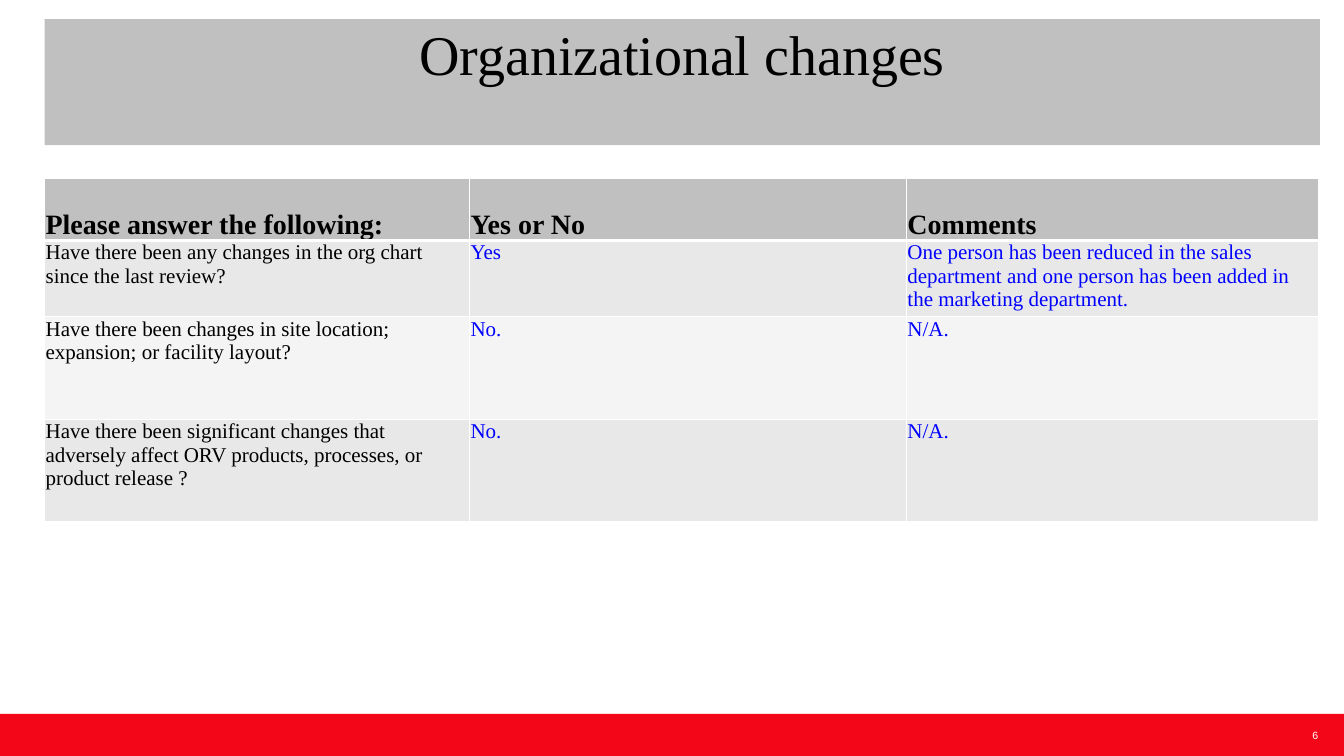
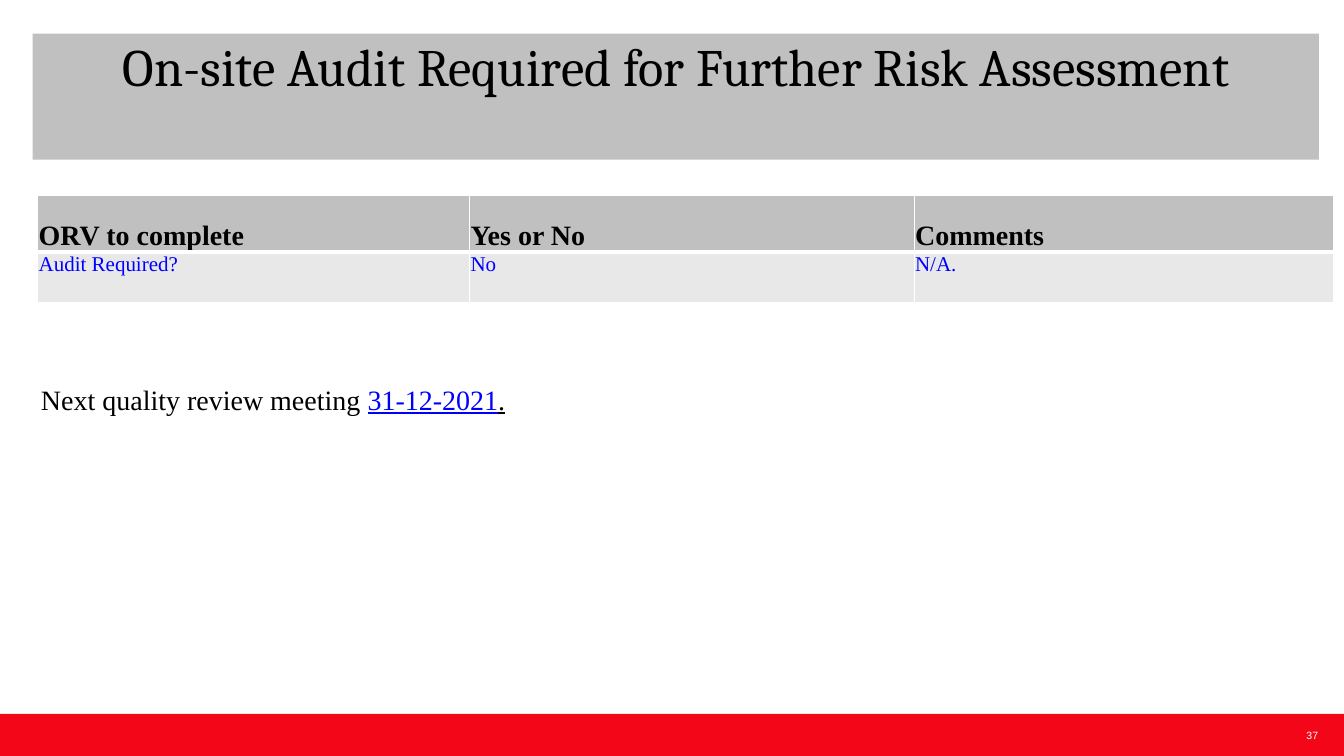
import pptx
import pptx.util
import pptx.dml.color
import pptx.enum.shapes
import pptx.enum.text
import pptx.oxml.ns
import lxml.etree

Cm, Pt = pptx.util.Cm, pptx.util.Pt
RGBColor = pptx.dml.color.RGBColor
Anchor = pptx.enum.text.MSO_ANCHOR
Align = pptx.enum.text.PP_ALIGN

RED = RGBColor(0xF3, 0x06, 0x17)
GREY = RGBColor(0xC0, 0xC0, 0xC0)
BAND_DARK = RGBColor(0xE8, 0xE8, 0xE8)
BAND_LIGHT = RGBColor(0xF4, 0xF4, 0xF4)
BLACK = RGBColor(0, 0, 0)
BLUE = RGBColor(0, 0, 0xFF)
WHITE = RGBColor(0xFF, 0xFF, 0xFF)
SERIF = "Times New Roman"

SLIDE_WIDTH, SLIDE_HEIGHT = 40.64, 22.86
FOOTER_HEIGHT = 1.27
TITLE_HEIGHT = 3.81

# Content: lengths in centimetres, sizes in points
SLIDES = [
    {
        "number": "6",
        "title": "Organizational changes",
        "title_font": (SERIF, 48),
        "title_box": (1.35, 0.58, 38.56),
        "table_corner": (1.35, 5.41),
        "columns": (12.85, 13.21, 12.47),
        "heights": (1.85, 2.01, 3.1, 3.1),
        "question_color": BLACK,
        "rows": [
            ("Please answer the following:", "Yes or No", "Comments"),
            ("Have there been any changes in the org chart since the last review?", "Yes",
             "One person has been reduced in the sales department and one person "
             "has been added in the marketing department."),
            ("Have there been changes in site location; expansion; or facility layout?",
             "No.", "N/A."),
            ("Have there been significant changes that adversely affect ORV products, "
             "processes, or product release ?", "No.", "N/A."),
        ],
        "note": [],
    },
    {
        "number": "37",
        "title": "On-site Audit Required for Further Risk Assessment",
        "title_font": ("Cambria", 45),
        "title_box": (0.99, 1.02, 38.89),
        "table_corner": (1.14, 5.92),
        "columns": (13.06, 13.44, 12.67),
        "heights": (1.7, 1.52),
        "question_color": BLUE,
        "rows": [
            ("ORV to complete", "Yes or No", "Comments"),
            ("Audit Required?", "No", "N/A."),
        ],
        "note": [("Next quality review meeting ", BLACK, False),
                 ("31-12-2021", BLUE, True), (".", BLACK, True)],
    },
]


def style_font(font, name, size, color, bold=False):
    font.name, font.size, font.bold = name, Pt(size), bold
    font.color.rgb = color


def set_margins(frame, left, top, right, bottom):
    frame.margin_left, frame.margin_top = Cm(left), Cm(top)
    frame.margin_right, frame.margin_bottom = Cm(right), Cm(bottom)


def add_footer(page, number):
    top = SLIDE_HEIGHT - FOOTER_HEIGHT
    band = page.shapes.add_shape(
        pptx.enum.shapes.MSO_SHAPE.RECTANGLE,
        Cm(0), Cm(top), Cm(SLIDE_WIDTH), Cm(FOOTER_HEIGHT))
    band.shadow.inherit = False
    band.fill.solid()
    band.fill.fore_color.rgb = RED
    band.line.fill.background()

    box = page.shapes.add_textbox(Cm(38.74), Cm(top), Cm(1.12), Cm(FOOTER_HEIGHT))
    frame = box.text_frame
    set_margins(frame, 0, 0, 0, 0)
    frame.vertical_anchor = Anchor.MIDDLE
    frame.text = number
    para = frame.paragraphs[0]
    para.alignment = Align.RIGHT
    style_font(para.runs[0].font, "Arial", 9, WHITE)


def set_title(page, text, font, place):
    title = page.shapes.title
    left, top, width = place
    title.left, title.top = Cm(left), Cm(top)
    title.width, title.height = Cm(width), Cm(TITLE_HEIGHT)
    title.fill.solid()
    title.fill.fore_color.rgb = GREY
    frame = title.text_frame
    frame.text = text
    frame.word_wrap = True
    frame.auto_size = pptx.enum.text.MSO_AUTO_SIZE.NONE
    frame.vertical_anchor = Anchor.TOP
    set_margins(frame, 0, 0, 0, 0)
    para = frame.paragraphs[0]
    para.alignment = Align.CENTER
    style_font(para.runs[0].font, *font, BLACK)


def set_borders(cell, row):
    # The line between header and body is thicker
    widths = {"lnL": 1, "lnR": 1, "lnT": 3 if row == 1 else 1, "lnB": 3 if row == 0 else 1}
    properties = cell._tc.get_or_add_tcPr()
    qn = pptx.oxml.ns.qn
    for edge, width in widths.items():
        line = lxml.etree.SubElement(properties, qn("a:" + edge), w=str(Pt(width)))
        fill = lxml.etree.SubElement(line, qn("a:solidFill"))
        lxml.etree.SubElement(fill, qn("a:srgbClr"), val=str(WHITE))


def fill_cell(cell, text, row, body_color):
    header = row == 0
    set_borders(cell, row)
    cell.fill.solid()
    cell.fill.fore_color.rgb = GREY if header else BAND_DARK if row % 2 else BAND_LIGHT
    set_margins(cell, 0.03, 0.03, 0.03, 0)
    cell.vertical_anchor = Anchor.BOTTOM if header else Anchor.TOP
    cell.text_frame.text = text
    style_font(cell.text_frame.paragraphs[0].runs[0].font, SERIF,
               24 if header else 18, BLACK if header else body_color, header)


def add_review_table(page, content):
    rows, columns, heights = content["rows"], content["columns"], content["heights"]
    left, top = content["table_corner"]
    table = page.shapes.add_table(
        len(rows), len(columns), Cm(left), Cm(top),
        Cm(sum(columns)), Cm(sum(heights))).table
    for column, width in zip(table.columns, columns):
        column.width = Cm(width)
    for row, height in zip(table.rows, heights):
        row.height = Cm(height)
    for row, texts in enumerate(rows):
        for column, text in enumerate(texts):
            color = BLUE if column else content["question_color"]
            fill_cell(table.cell(row, column), text, row, color)


def add_note(page, spans):
    box = page.shapes.add_textbox(Cm(0.99), Cm(11.43), Cm(32.94), Cm(1.27))
    box.text_frame.word_wrap = True
    para = box.text_frame.paragraphs[0]
    for text, color, underline in spans:
        span = para.add_run()
        span.text = text
        style_font(span.font, SERIF, 24, color)
        span.font.underline = underline


def main():
    deck = pptx.Presentation()
    deck.slide_width, deck.slide_height = Cm(SLIDE_WIDTH), Cm(SLIDE_HEIGHT)
    title_only = deck.slide_layouts[5]
    for content in SLIDES:
        page = deck.slides.add_slide(title_only)
        add_footer(page, content["number"])
        set_title(page, content["title"], content["title_font"], content["title_box"])
        add_review_table(page, content)
        if content["note"]:
            add_note(page, content["note"])
    deck.save("out.pptx")


if __name__ == "__main__":
    main()
